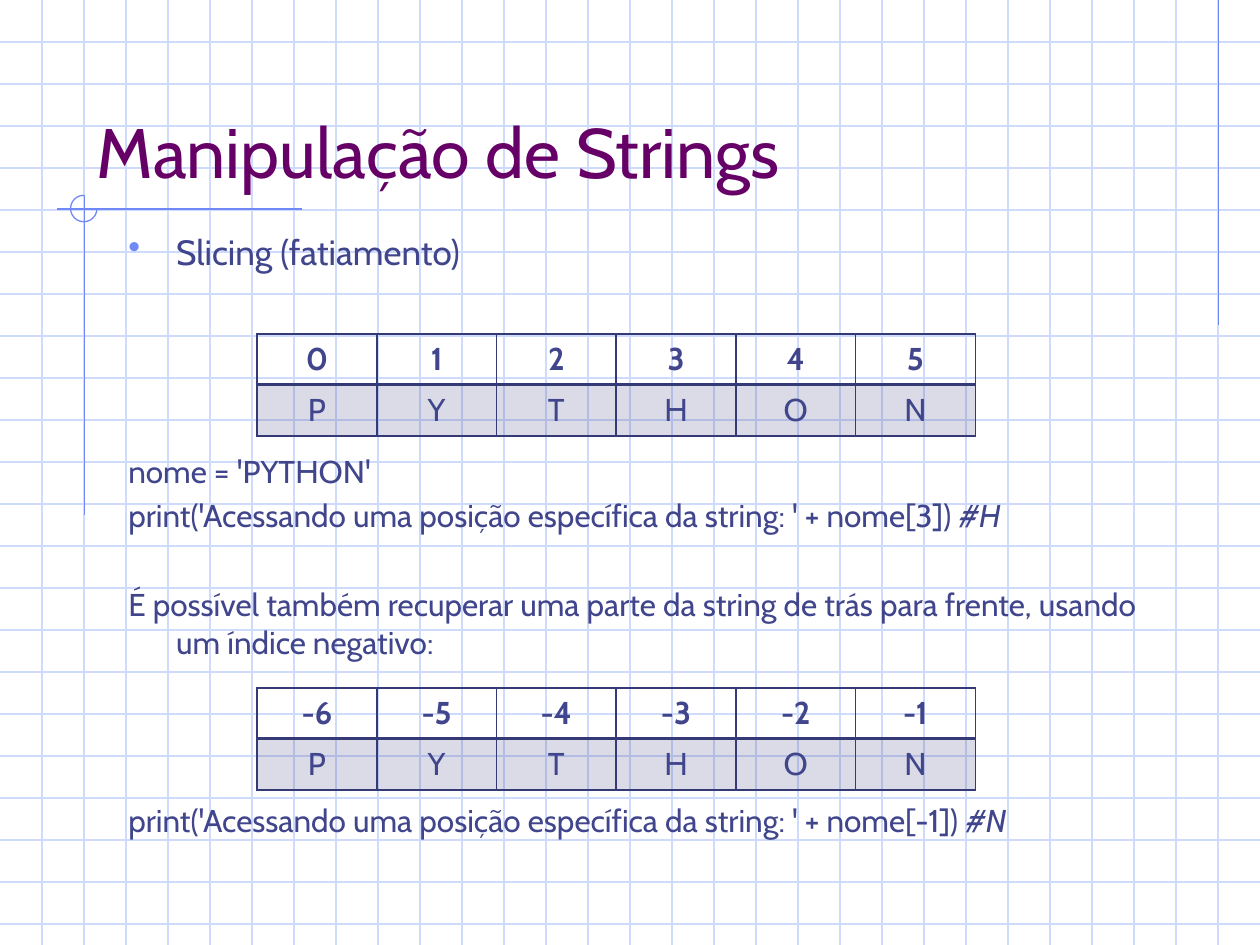
from dataclasses import dataclass

from lxml import etree
from pptx import Presentation
from pptx.dml.color import RGBColor
from pptx.enum.shapes import MSO_CONNECTOR, MSO_SHAPE
from pptx.enum.text import MSO_ANCHOR, PP_ALIGN
from pptx.oxml.ns import qn
from pptx.util import Inches, Pt

STRAIGHT = MSO_CONNECTOR.STRAIGHT
ARC = MSO_SHAPE.ARC
TOP, BOTTOM = MSO_ANCHOR.TOP, MSO_ANCHOR.BOTTOM
LEFT, CENTER = PP_ALIGN.LEFT, PP_ALIGN.CENTER

GRID_BLUE = RGBColor(0xCF, 0xDB, 0xFD)
ACCENT_BLUE = RGBColor(0x6F, 0x89, 0xF7)
PURPLE = RGBColor(0x66, 0x00, 0x66)
TEXT_BLUE = RGBColor(0x40, 0x45, 0x8C)
TABLE_BLUE = RGBColor(0x35, 0x3A, 0x77)

FONT = "Cabin"
WIDTH, HEIGHT = 10, 7.5
HANGING = 0.38
COLUMN_WIDTH = 0.95
ROW_HEIGHTS = (0.4, 0.41)


@dataclass(frozen=True)
class Line:
    start: tuple[float, float]
    end: tuple[float, float]
    color: RGBColor = ACCENT_BLUE


@dataclass(frozen=True)
class BodyParagraph:
    text: str
    comment: str = ""
    size: float = 18
    space_before: float = 3.6
    bullet: str = ""


@dataclass(frozen=True)
class IndexTable:
    top: float
    indexes: range
    letters: str = "PYTHON"
    left: float = 2.04


GRID = [
    Line((0, row / 3), (WIDTH, row / 3), GRID_BLUE) for row in range(1, 23)
] + [
    Line((column / 3, 0), (column / 3, HEIGHT), GRID_BLUE) for column in range(1, 30)
]
ACCENTS = [
    Line((9.67, 0), (9.67, 2.58)),
    Line((2.4, 1.66), (0.45, 1.66)),
    Line((0.67, 1.55), (0.67, 4.09)),
]
BODY = [
    BodyParagraph("Slicing (fatiamento)", size=20, space_before=0, bullet="•"),
    BodyParagraph("nome = 'PYTHON'", space_before=102.7),
    BodyParagraph(
        "print('Acessando uma posição específica da string: ' + nome[3]) ", "#H"
    ),
    BodyParagraph(
        "É possível também recuperar uma parte da string de trás para frente, "
        "usando um índice negativo:",
        space_before=29.1,
    ),
    BodyParagraph(
        "print('Acessando uma posição específica da string: ' + nome[-1]) ",
        "#N",
        space_before=80,
    ),
]
TABLES = [IndexTable(2.65, range(6)), IndexTable(5.46, range(-6, 0))]


def add_line(slide, line: Line) -> None:
    connector = slide.shapes.add_connector(
        STRAIGHT, *(Inches(value) for value in line.start + line.end)
    )
    connector.line.color.rgb = line.color
    connector.line.width = Pt(0.75)
    etree.SubElement(connector._element.spPr, qn("a:effectLst"))


def add_corner_arc(slide) -> None:
    """Three quarters of a circle, open at the upper right."""
    arc = slide.shapes.add_shape(
        ARC, Inches(0.56), Inches(1.55), Inches(0.21), Inches(0.21)
    )
    arc.adjustments[0] = 0
    arc.adjustments[1] = 162
    arc.shadow.inherit = False
    arc.fill.background()
    arc.line.color.rgb = ACCENT_BLUE
    arc.line.width = Pt(0.75)


def add_text(paragraph, text: str, *, size: float, color: RGBColor = TEXT_BLUE,
             bold: bool = False, italic: bool = False, align=LEFT) -> None:
    paragraph.alignment = align
    run = paragraph.add_run()
    run.text = text
    font = run.font
    font.name, font.size, font.bold, font.italic = FONT, Pt(size), bold, italic
    font.color.rgb = color


def add_text_frame(slide, left: float, top: float, width: float, height: float, anchor):
    box = slide.shapes.add_textbox(
        Inches(left), Inches(top), Inches(width), Inches(height)
    )
    frame = box.text_frame
    frame.word_wrap = True
    frame.vertical_anchor = anchor
    return frame


def set_hanging_indent(paragraph, bullet: str) -> None:
    properties = paragraph._p.get_or_add_pPr()
    properties.set("marL", str(Inches(HANGING)))
    properties.set("indent", str(-Inches(HANGING)))
    if bullet:
        bullet_color = etree.SubElement(properties, qn("a:buClr"))
        etree.SubElement(bullet_color, qn("a:srgbClr"), val=str(ACCENT_BLUE))
        etree.SubElement(properties, qn("a:buChar"), char=bullet)


def add_body(slide) -> None:
    frame = add_text_frame(slide, 0.92, 1.78, 8.5, 4.5, TOP)
    for position, item in enumerate(BODY):
        paragraph = frame.add_paragraph() if position else frame.paragraphs[0]
        paragraph.space_before = Pt(item.space_before)
        set_hanging_indent(paragraph, item.bullet)
        add_text(paragraph, item.text, size=item.size)
        if item.comment:
            add_text(paragraph, item.comment, size=item.size, italic=True)


def format_cell(cell, is_header: bool) -> None:
    properties = cell._tc.get_or_add_tcPr()
    thick_side = "B" if is_header else "T"
    for side in "LRTB":
        width = Pt(2 if side == thick_side else 1)
        border = etree.SubElement(properties, qn(f"a:ln{side}"), w=str(width))
        fill = etree.SubElement(border, qn("a:solidFill"))
        etree.SubElement(fill, qn("a:srgbClr"), val=str(TABLE_BLUE))
    if is_header:
        cell.fill.background()
        return
    cell.fill.solid()
    cell.fill.fore_color.rgb = TABLE_BLUE
    fill_color = properties.find(qn("a:solidFill")).find(qn("a:srgbClr"))
    etree.SubElement(fill_color, qn("a:alpha"), val="18000")


def add_index_table(slide, item: IndexTable) -> None:
    count = len(item.letters)
    table = slide.shapes.add_table(
        len(ROW_HEIGHTS), count, Inches(item.left), Inches(item.top),
        Inches(count * COLUMN_WIDTH), Inches(sum(ROW_HEIGHTS)),
    ).table
    table.first_row = table.horz_banding = False
    for column in table.columns:
        column.width = Inches(COLUMN_WIDTH)
    for row_number, texts in enumerate((item.indexes, item.letters)):
        table.rows[row_number].height = Inches(ROW_HEIGHTS[row_number])
        is_header = row_number == 0
        for column_number, text in enumerate(texts):
            cell = table.cell(row_number, column_number)
            format_cell(cell, is_header)
            add_text(cell.text_frame.paragraphs[0], str(text), size=18,
                     bold=is_header, align=CENTER)


def main() -> None:
    presentation = Presentation()
    presentation.slide_width, presentation.slide_height = Inches(WIDTH), Inches(HEIGHT)
    slide = presentation.slides.add_slide(presentation.slide_layouts[6])
    for line in GRID + ACCENTS:
        add_line(slide, line)
    add_corner_arc(slide)
    title = add_text_frame(slide, 0.67, 0.33, 8.98, 1.25, BOTTOM)
    add_text(title.paragraphs[0], "Manipulação de Strings", size=40, color=PURPLE)
    add_body(slide)
    for item in TABLES:
        add_index_table(slide, item)
    presentation.save("out.pptx")


if __name__ == "__main__":
    main()
